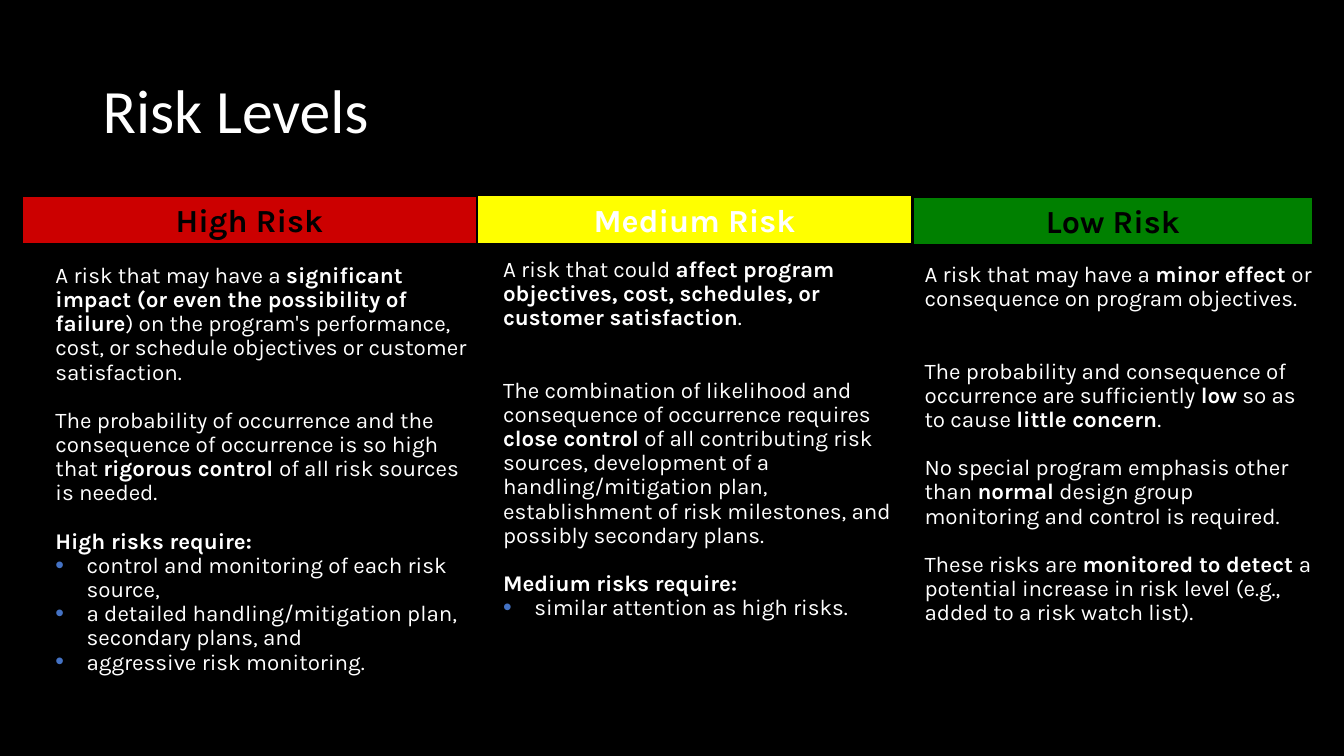
from dataclasses import dataclass

from lxml.etree import SubElement
from pptx import Presentation
from pptx.dml.color import RGBColor
from pptx.enum.shapes import MSO_CONNECTOR, MSO_SHAPE
from pptx.enum.text import MSO_ANCHOR, MSO_AUTO_SIZE, PP_ALIGN
from pptx.oxml.ns import qn
from pptx.util import Inches, Pt


@dataclass(frozen=True)
class Theme:
    """Colours, fonts and sizes of the slide."""
    black: str = "000000"
    white: str = "FFFFFF"
    red: str = "CC0000"
    yellow: str = "FFFF00"
    green: str = "008000"
    bullet: str = "4472C4"
    title_font: str = "Calibri"
    body_font: str = "Karla"
    title_size: float = 44
    header_size: float = 23
    body_size: float = 16
    blank_line: float = 17.3
    line_width: float = 1.5


class RiskSlide:
    """Draws the parts of the slide in one style."""

    def __init__(self, slide, theme):
        """Keep the slide and theme and paint the background."""
        self.slide, self.theme = slide, theme
        slide.background.fill.solid()
        slide.background.fill.fore_color.rgb = RGBColor.from_string(theme.black)

    def style(self, run, font, size, colour, bold=False):
        """Format one run."""
        run.font.name, run.font.size, run.font.bold = font, Pt(size), bold
        run.font.color.rgb = RGBColor.from_string(colour)

    def outline(self, line):
        """Give a line the common colour and width."""
        line.color.rgb = RGBColor.from_string(self.theme.black)
        line.width = Pt(self.theme.line_width)

    def title(self, wording, *place):
        """Add the slide title."""
        frame = self.slide.shapes.add_textbox(*map(Inches, place)).text_frame
        frame.word_wrap, frame.vertical_anchor = True, MSO_ANCHOR.MIDDLE
        frame.text = wording
        heading = frame.paragraphs[0]
        heading.line_spacing = 0.9
        self.style(heading.runs[0], self.theme.title_font,
                   self.theme.title_size, self.theme.white)

    def box(self, *place, fill=None):
        """Add an outlined rectangle, filled if a colour is given."""
        box = self.slide.shapes.add_shape(MSO_SHAPE.RECTANGLE, *map(Inches, place))
        box.shadow.inherit = False
        self.outline(box.line)
        if fill:
            box.fill.solid()
            box.fill.fore_color.rgb = RGBColor.from_string(fill)
        else:
            box.fill.background()
        return box

    def header(self, wording, fill, colour, *place):
        """Add a coloured column header."""
        frame = self.box(*place, fill=fill).text_frame
        frame.word_wrap, frame.vertical_anchor = False, MSO_ANCHOR.MIDDLE
        frame.text = wording
        label = frame.paragraphs[0]
        label.alignment = PP_ALIGN.CENTER
        self.style(label.runs[0], self.theme.body_font,
                   self.theme.header_size, colour, True)

    def divider(self, x, top, bottom):
        """Add a vertical line between two columns."""
        divider = self.slide.shapes.add_connector(
            MSO_CONNECTOR.STRAIGHT, *map(Inches, (x, top, x, bottom)))
        self.outline(divider.line)
        SubElement(divider._element.spPr, qn("a:effectLst"))

    def bullet(self, paragraph):
        """Turn a paragraph into a bulleted item."""
        props = paragraph._p.get_or_add_pPr()
        props.set("marL", str(Inches(0.31)))
        props.set("indent", str(Inches(-0.31)))
        colour = SubElement(props, qn("a:buClr"))
        SubElement(colour, qn("a:srgbClr"), val=self.theme.bullet)
        SubElement(props, qn("a:buSzPct"), val="110000")
        SubElement(props, qn("a:buFont"), typeface="Arial")
        SubElement(props, qn("a:buChar"), char="•")

    def description(self, passages, *place):
        """Add column text; asterisks enclose bold words, a bullet opens an item."""
        frame = self.slide.shapes.add_textbox(*map(Inches, place)).text_frame
        frame.word_wrap, frame.auto_size = True, MSO_AUTO_SIZE.SHAPE_TO_FIT_TEXT
        frame.margin_left = frame.margin_right = 0
        for index, (gap, wording) in enumerate(passages):
            paragraph = frame.add_paragraph() if index else frame.paragraphs[0]
            if wording.startswith("•"):
                self.bullet(paragraph)
            paragraph.line_spacing = 0.9
            if gap:
                paragraph.space_before = Pt(gap * self.theme.blank_line)
            for part, words in enumerate(wording.lstrip("•").split("*")):
                if words:
                    run = paragraph.add_run()
                    run.text = words
                    self.style(run, self.theme.body_font, self.theme.body_size,
                               self.theme.white, part % 2 == 1)


HIGH = [
    (0, "A risk that may have a *significant impact (or even the possibility of failure*) "
        "on the program's performance, cost, or schedule objectives or customer satisfaction."),
    (1, "The probability of occurrence and the consequence of occurrence is so high that "
        "*rigorous control *of all risk sources is needed."),
    (1, "*High risks require:*"),
    (0, "•control and monitoring of each risk source,"),
    (0, "•a detailed handling/mitigation plan, secondary plans, and"),
    (0, "•aggressive risk monitoring."),
]
MEDIUM = [
    (0, "A risk that could *affect program objectives, cost, schedules, "
        "or customer satisfaction*."),
    (2, "The combination of likelihood and consequence of occurrence requires "
        "*close control* of all contributing risk sources, development of a "
        "handling/mitigation plan, establishment of risk milestones, "
        "and possibly secondary plans."),
    (1, "*Medium risks require:*"),
    (0, "•similar attention as high risks."),
]
LOW = [
    (0, "A risk that may have a *minor effect *or consequence on program objectives."),
    (2, "The probability and consequence of occurrence are sufficiently *low* "
        "so as to cause *little concern*."),
    (1, "No special program emphasis other than *normal* design group "
        "monitoring and control is required."),
    (1, "These risks are *monitored to detect *a potential increase in risk level "
        "(e.g., added to a risk watch list)."),
]


def main():
    """Build and save the slide."""
    deck = Presentation()
    deck.slide_width, deck.slide_height = Inches(13.33), Inches(7.5)
    theme = Theme()
    risks = RiskSlide(deck.slides.add_slide(deck.slide_layouts[6]), theme)

    risks.title("Risk Levels", 0.92, 0.4, 11.5, 1.45)
    risks.box(0.22, 2.43, 12.8, 4.41)
    for x in (4.73, 9.06):
        risks.divider(x, 2.09, 6.83)

    risks.header("Low Risk", theme.green, theme.black, 9.06, 1.95, 3.96, 0.48)
    risks.header("Medium Risk", theme.yellow, theme.white, 4.73, 1.93, 4.32, 0.49)
    risks.header("High Risk", theme.red, theme.black, 0.22, 1.94, 4.51, 0.48)

    risks.description(HIGH, 0.55, 2.57, 4.11, 4.22)
    risks.description(MEDIUM, 4.99, 2.51, 3.99, 3.74)
    risks.description(LOW, 9.17, 2.56, 3.85, 3.98)
    deck.save("out.pptx")


if __name__ == "__main__":
    main()
